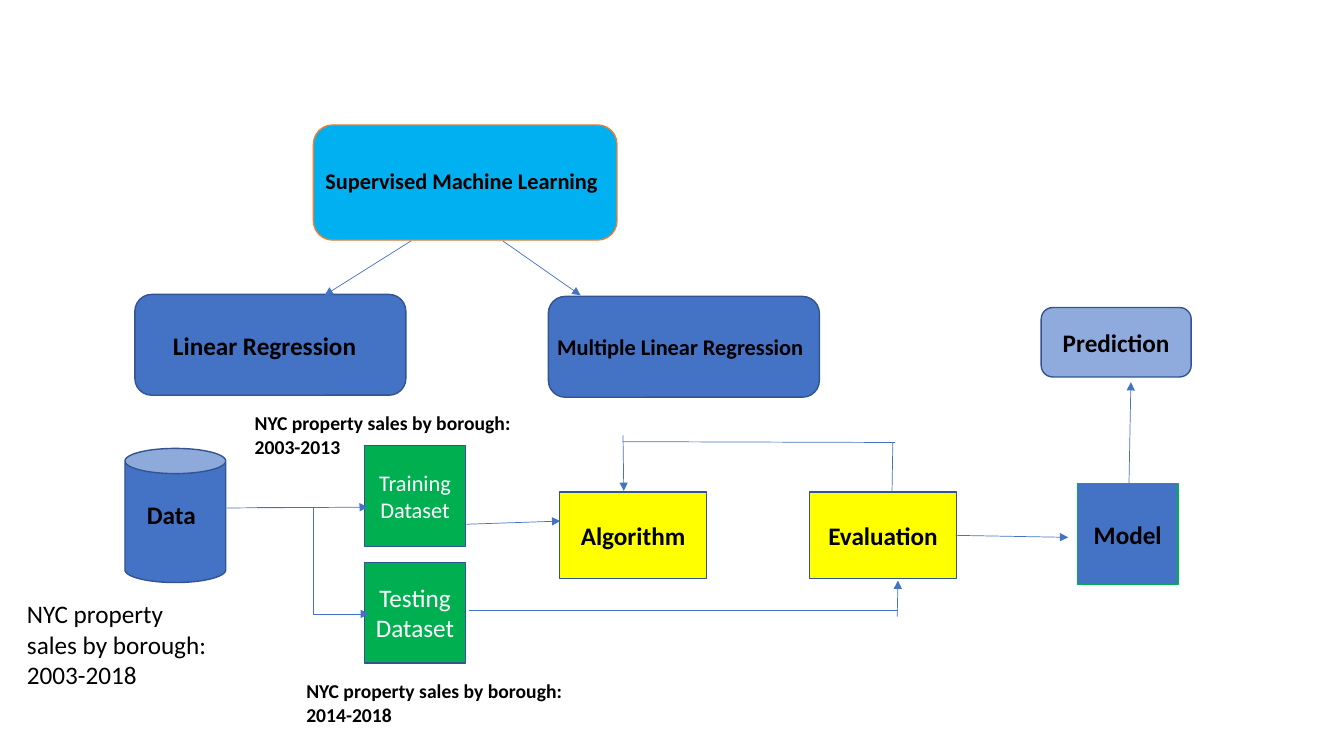
from lxml import etree
from pptx import Presentation
from pptx.dml.color import RGBColor
from pptx.enum.shapes import MSO_CONNECTOR, MSO_SHAPE
from pptx.enum.text import MSO_ANCHOR, MSO_AUTO_SIZE, PP_ALIGN
from pptx.oxml.ns import qn
from pptx.util import Cm, Pt

ROUNDED, RECTANGLE, CAN = MSO_SHAPE.ROUNDED_RECTANGLE, MSO_SHAPE.RECTANGLE, MSO_SHAPE.CAN
STRAIGHT, ELBOW = MSO_CONNECTOR.STRAIGHT, MSO_CONNECTOR.ELBOW
MIDDLE, CENTER, GROW = MSO_ANCHOR.MIDDLE, PP_ALIGN.CENTER, MSO_AUTO_SIZE.SHAPE_TO_FIT_TEXT
COLORS = {
    "blue": "4472C4", "navy": "325491", "light blue": "8FAADC", "cyan": "00B0F0",
    "orange": "ED7D31", "green": "00B050", "yellow": "FFFF00",
    "black": "000000", "white": "FFFFFF",
}


def color(name):
    """Return the named colour of the palette."""
    return RGBColor.from_string(COLORS[name])


def write_text(frame, text, size=18, bold=True, ink="black"):
    """Fill a text frame with one formatted run and return its paragraph."""
    frame.word_wrap = True
    paragraph = frame.paragraphs[0]
    run = paragraph.add_run()
    run.text = text
    run.font.name = "Calibri"
    run.font.size = Pt(size)
    run.font.bold = bold
    run.font.color.rgb = color(ink)
    return paragraph


def add_label(slide, box, left, top, width, height, text, **text_format):
    """Place a text box relative to the region's box."""
    label = slide.shapes.add_textbox(
        Cm(box[0] + left), Cm(box[1] + top), Cm(width), Cm(height))
    write_text(label.text_frame, text, **text_format)
    label.text_frame.auto_size = GROW


def add_node(slide, box, left, top, width, height, text="", kind=RECTANGLE,
             fill="blue", outline="navy", **text_format):
    """Place a filled shape with optional centred text relative to the region's box."""
    shape = slide.shapes.add_shape(
        kind, Cm(box[0] + left), Cm(box[1] + top), Cm(width), Cm(height))
    shape.shadow.inherit = False
    shape.fill.solid()
    shape.fill.fore_color.rgb = color(fill)
    shape.line.color.rgb = color(outline)
    shape.line.width = Pt(1)
    if text:
        shape.text_frame.vertical_anchor = MIDDLE
        write_text(shape.text_frame, text, **text_format).alignment = CENTER


def add_link(slide, box, start, end, arrow=True, kind=STRAIGHT):
    """Draw a thin connector between two points relative to the region's box."""
    points = [Cm(origin + offset) for point in (start, end)
              for origin, offset in zip(box, point)]
    connector = slide.shapes.add_connector(kind, *points)
    connector.line.color.rgb = color("blue")
    connector.line.width = Pt(0.5)
    if arrow:
        line = connector.line._get_or_add_ln()
        etree.SubElement(line, qn("a:tailEnd"), type="triangle")
    etree.SubElement(connector._element.spPr, qn("a:effectLst"))


def add_method_tree(slide, box):
    """Build the learning method and its two kinds of regression."""
    add_node(slide, box, 4.5, 0, 7.65, 2.9, kind=ROUNDED, fill="cyan", outline="orange")
    add_label(slide, box, 4.55, 0.94, 9.04, 0.94, "Supervised Machine Learning", size=16)
    for left, top in ((0, 4.27), (10.42, 4.32)):
        add_node(slide, box, left, top, 6.83, 2.54, kind=ROUNDED)
    add_label(slide, box, 0.71, 5.05, 7.62, 1.02, "Linear Regression")
    add_label(slide, box, 10.39, 5.13, 7.62, 0.94, "Multiple Linear Regression", size=16)
    for start, end in ((9.27, 11.23), (6.96, 4.78)):
        add_link(slide, box, (start, 2.92), (end, 4.29))


def add_pipeline(slide, box):
    """Build the flow from the data to the prediction."""
    add_node(slide, box, 2.72, 3.55, 2.54, 3.38, kind=CAN)
    add_label(slide, box, 3.02, 4.72, 7.62, 1.02, "Data")
    for top, text, size in ((6.42, "Testing Dataset", 18), (3.48, "Training Dataset", 16)):
        add_node(slide, box, 8.76, top, 2.54, 2.54, text, fill="green",
                 size=size, bold=False, ink="white")
    for left, text in ((13.67, "Algorithm"), (19.97, "Evaluation")):
        add_node(slide, box, left, 4.65, 3.71, 2.18, text, fill="yellow")
    add_node(slide, box, 26.72, 4.44, 2.54, 2.54, "Model", outline="green")
    add_node(slide, box, 25.81, 0, 3.78, 1.75, "Prediction", kind=ROUNDED, fill="light blue")

    add_link(slide, box, (6.05, 5.03), (8.87, 7.72), kind=ELBOW)
    arrows = (
        ((5.29, 5.05), (8.84, 5.03)),
        ((22.18, 7.79), (22.2, 6.88)),
        ((15.27, 3.22), (15.29, 4.62)),
        ((11.33, 5.46), (13.69, 5.38)),
        ((23.65, 5.74), (26.49, 5.79)),
        ((28.02, 4.52), (28.07, 1.88)),
    )
    for start, end in arrows:
        add_link(slide, box, start, end)
    plain_lines = (
        ((11.38, 7.64), (22.2, 7.64)),
        ((15.27, 3.38), (22.13, 3.4)),
        ((22.07, 3.4), (22.05, 4.65)),
    )
    for start, end in plain_lines:
        add_link(slide, box, start, end, arrow=False)

    source = "NYC property sales by"
    add_label(slide, box, 0, 7.21, 5.11, 2.57, f"{source} borough: 2003-2018", bold=False)
    for left, top, years in ((5.74, 2.49, "2003-2013"), (7.04, 9.24, "2014-2018")):
        add_label(slide, box, left, top, 7.62, 1.45,
                  f"{source}\u00a0borough: {years}", size=14)


def main():
    """Create the presentation with its single slide."""
    presentation = Presentation()
    presentation.slide_width, presentation.slide_height = Cm(33.87), Cm(19.05)
    slide = presentation.slides.add_slide(presentation.slide_layouts[6])
    add_method_tree(slide, (3.4, 3.15))
    add_pipeline(slide, (0.43, 7.75))
    presentation.save("out.pptx")


main()
